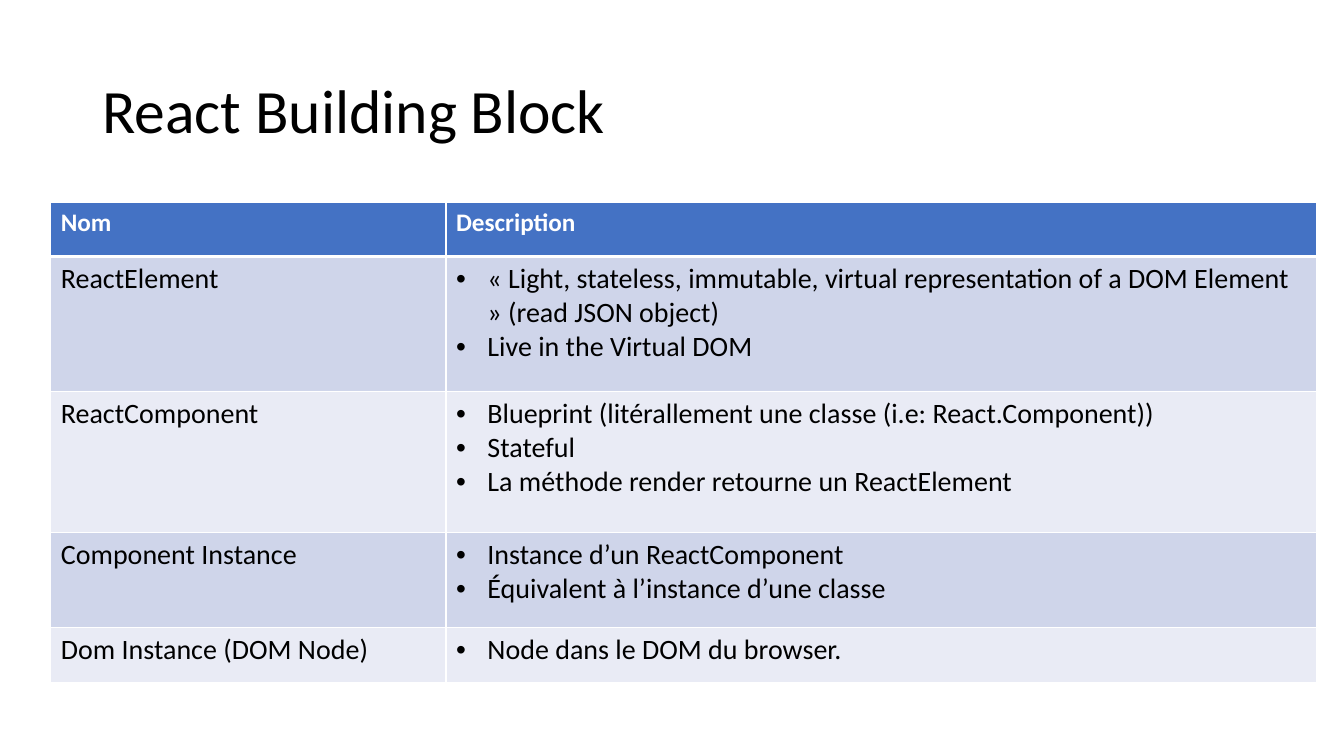
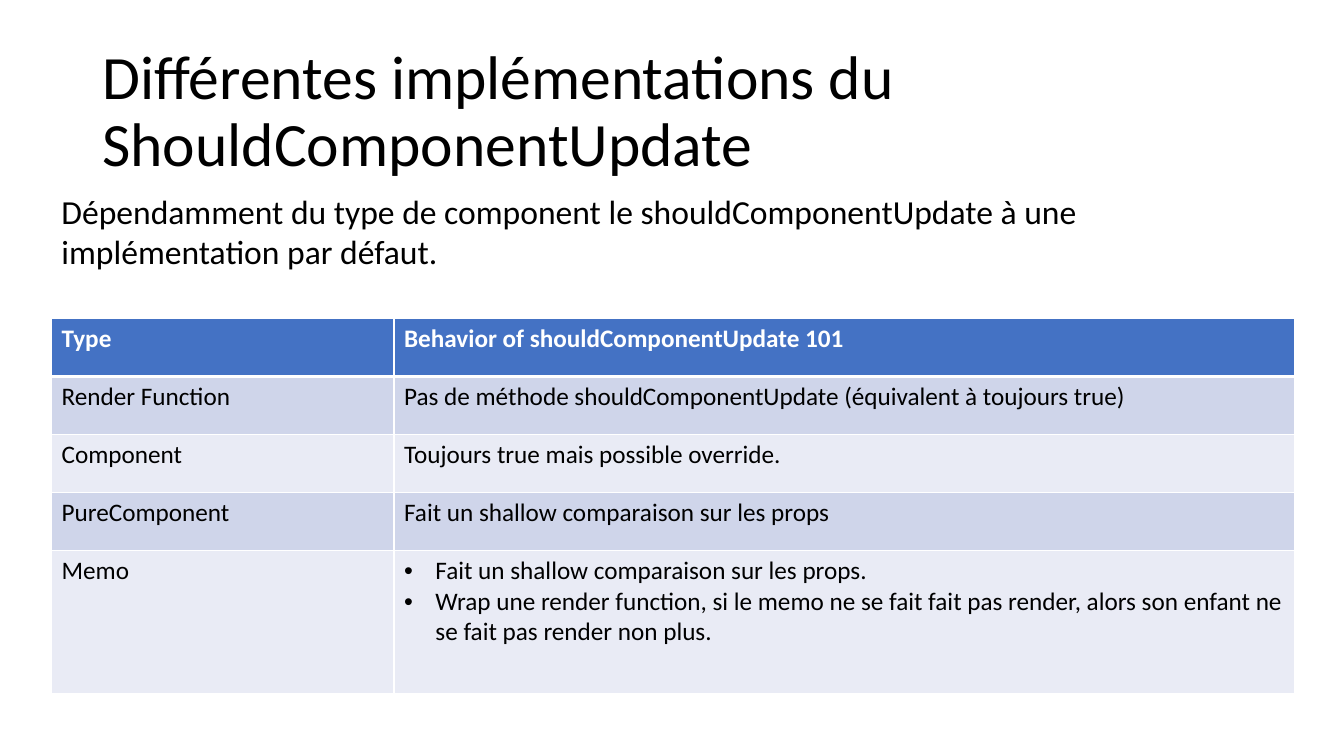
from lxml.etree import SubElement
from pptx import Presentation
from pptx.dml.color import RGBColor as Rgb
from pptx.enum.text import MSO_ANCHOR as Anchor
from pptx.oxml import parse_xml
from pptx.oxml.ns import nsdecls, qn
from pptx.util import Cm, Pt

COLORS = {"ink": "000000", "white": "FFFFFF", "header": "4472C4",
          "odd": "CFD5EA", "even": "E9EBF5"}
FONT = "Calibri"
INDENT = Cm(0.79)

BLOCKS = [
    ("Nom", "Description"),
    ("ReactElement", ["« Light, stateless, immutable, virtual representation of a DOM Element » (read JSON object)",
                      "Live in the Virtual DOM"]),
    ("ReactComponent", ["Blueprint (litérallement une classe (i.e: React.Component))",
                        "Stateful",
                        "La méthode render retourne un ReactElement"]),
    ("Component Instance", ["Instance d’un ReactComponent",
                            "Équivalent à l’instance d’une classe"]),
    ("Dom Instance (DOM Node)", ["Node dans le DOM du browser."]),
]
BEHAVIORS = [
    ("Type", "Behavior of shouldComponentUpdate 101"),
    ("Render Function", "Pas de méthode shouldComponentUpdate (équivalent à toujours true)"),
    ("Component", "Toujours true mais possible override."),
    ("PureComponent", "Fait un shallow comparaison sur les props"),
    ("Memo", ["Fait un shallow comparaison sur les props.",
              "Wrap une render function, si le memo ne se fait fait pas render, "
              "alors son enfant ne se fait pas render non plus."]),
]


class Deck:
    """Holds the shared style and the slide being built."""

    def __init__(self):
        self.prs = Presentation()
        self.prs.slide_width, self.prs.slide_height = Cm(33.87), Cm(19.05)
        self.slide = None

    def add_slide(self, title):
        self.slide = self.prs.slides.add_slide(self.prs.slide_layouts[6])
        heading = self.text(title, 2.33, 1.01, 29.21, 3.68, 44)
        heading.vertical_anchor = Anchor.MIDDLE
        heading.paragraphs[0].line_spacing = 0.9

    def style(self, paragraph, size, color="ink", bold=False):
        font = paragraph.font
        font.name, font.size, font.bold = FONT, Pt(size), bold
        font.color.rgb = Rgb.from_string(COLORS[color])

    def text(self, words, left, top, width, height, size):
        frame = self.slide.shapes.add_textbox(Cm(left), Cm(top), Cm(width), Cm(height)).text_frame
        frame.word_wrap = True
        frame.text = words
        self.style(frame.paragraphs[0], size)
        return frame

    def bullet(self, paragraph):
        props = paragraph._p.get_or_add_pPr()
        props.set("marL", str(INDENT))
        props.set("indent", str(-INDENT))
        SubElement(props, qn("a:buFont")).set("typeface", "Arial")
        SubElement(props, qn("a:buChar")).set("char", "•")

    def borders(self, cell, row):
        widths = {"L": 1, "R": 1, "T": 3 if row == 1 else 1, "B": 3 if row == 0 else 1}
        props = cell._tc.get_or_add_tcPr()
        for place, (side, width) in enumerate(widths.items()):
            props.insert(place, parse_xml(
                f'<a:ln{side} {nsdecls("a")} w="{Pt(width)}"><a:solidFill>'
                f'<a:srgbClr val="{COLORS["white"]}"/></a:solidFill></a:ln{side}>'))

    def cell(self, cell, content, row, size):
        band = "header" if row == 0 else "odd" if row % 2 else "even"
        cell.fill.solid()
        cell.fill.fore_color.rgb = Rgb.from_string(COLORS[band])
        self.borders(cell, row)
        bulleted = isinstance(content, list)
        cell.text = "\n".join(content) if bulleted else content
        for paragraph in cell.text_frame.paragraphs:
            if row == 0:
                self.style(paragraph, 18, "white", True)
            else:
                self.style(paragraph, size)
            if bulleted:
                self.bullet(paragraph)

    def table(self, rows, left, top, widths, heights, size):
        table = self.slide.shapes.add_table(
            len(rows), len(widths), Cm(left), Cm(top), Cm(sum(widths)), Cm(sum(heights))).table
        for column, width in zip(table.columns, widths):
            column.width = Cm(width)
        for row, (contents, height) in enumerate(zip(rows, heights)):
            table.rows[row].height = Cm(height)
            for column, content in enumerate(contents):
                self.cell(table.cell(row, column), content, row, size)


def main():
    deck = Deck()
    deck.add_slide("React Building Block")
    deck.table(BLOCKS, 1.28, 5.09, [9.96, 21.95], [1.37, 3.4, 3.56, 2.4, 1.37], 20)

    deck.add_slide("Différentes implémentations du ShouldComponentUpdate")
    deck.table(BEHAVIORS, 1.3, 8.03, [8.63, 22.7], [1.46] * 4 + [3.6], 18)
    deck.text("Dépendamment du type de component le shouldComponentUpdate à une implémentation par défaut.",
              1.3, 4.69, 28.78, 2.31, 24)
    deck.prs.save("out.pptx")


if __name__ == "__main__":
    main()
